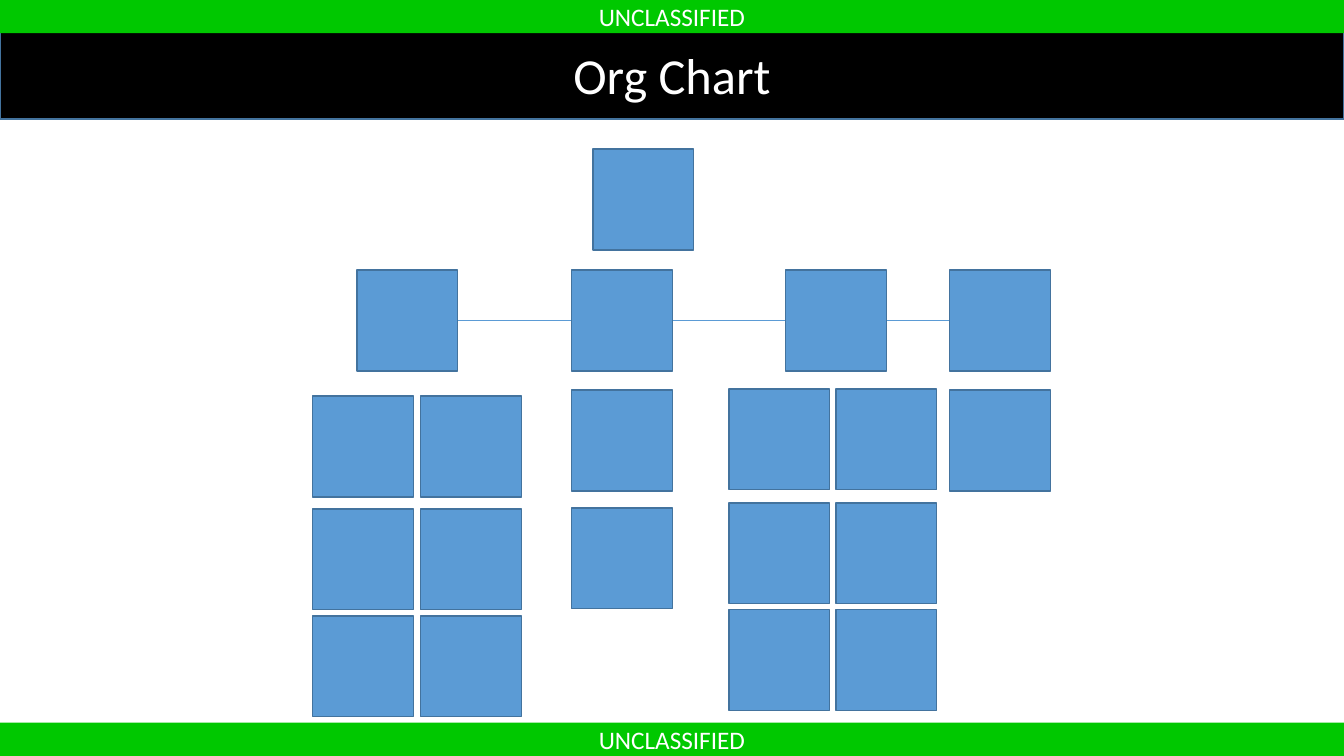
from lxml import etree
from pptx import Presentation
from pptx.dml.color import RGBColor
from pptx.enum.shapes import MSO_CONNECTOR, MSO_SHAPE
from pptx.enum.text import MSO_ANCHOR, PP_ALIGN
from pptx.oxml.ns import qn
from pptx.util import Inches, Pt

RECTANGLE = MSO_SHAPE.RECTANGLE
STRAIGHT = MSO_CONNECTOR.STRAIGHT
MIDDLE = MSO_ANCHOR.MIDDLE
CENTER = PP_ALIGN.CENTER
TITLE_ONLY = 5

WIDTH, HEIGHT = 13.33, 7.5
BANNER_HEIGHT = 0.33
BOX_SIZE = 1
MANAGER_TOP = 2.68
MANAGER_LEFTS = (3.54, 5.67, 7.79, 9.42)
# Column lefts and row tops of the boxes under each manager
TEAMS = (
    ((3.1, 4.17), (3.93, 5.05, 6.11)),
    ((5.67,), (3.87, 5.04)),
    ((7.23, 8.29), (3.86, 4.99, 6.05)),
    ((9.42,), (3.87,)),
)


def color(code):
    """Turn a hex string into a colour."""
    return RGBColor.from_string(code)


class OrgPage:
    """Holds the style and the current slide."""

    font = "Calibri"
    text_color = "FFFFFF"
    banner_fill = "00C800"
    title_fill = "000000"
    box_fill = "5B9BD5"
    outline = "43739E"

    def __init__(self, deck):
        """Add a title-only slide to the deck."""
        self.page = deck.slides.add_slide(deck.slide_layouts[TITLE_ONLY])

    def paint(self, shape, fill, outline=None):
        """Fill a shape and give it an outline, or none."""
        shape.fill.solid()
        shape.fill.fore_color.rgb = color(fill)
        if outline:
            shape.line.color.rgb = color(outline)
            shape.line.width = Pt(1)
        else:
            shape.line.fill.background()

    def label(self, shape, text, size):
        """Set centred text in a shape."""
        frame = shape.text_frame
        frame.text = text
        frame.word_wrap = True
        frame.vertical_anchor = MIDDLE
        frame.margin_top = frame.margin_bottom = 0
        para = frame.paragraphs[0]
        para.alignment = CENTER
        font = para.runs[0].font
        font.name, font.size = self.font, Pt(size)
        font.color.rgb = color(self.text_color)

    def title(self, text, top, height):
        """Place the title bar across the slide."""
        bar = self.page.shapes.title
        bar.left, bar.top = Inches(0), Inches(top)
        bar.width, bar.height = Inches(WIDTH), Inches(height)
        self.paint(bar, self.title_fill, self.outline)
        self.label(bar, text, 36)

    def rectangle(self, left, top, width, height):
        """Add a rectangle without shadow."""
        shape = self.page.shapes.add_shape(
            RECTANGLE, Inches(left), Inches(top), Inches(width), Inches(height))
        shape.shadow.inherit = False
        return shape

    def banner(self, text, top):
        """Add a full-width marking banner."""
        banner = self.rectangle(0, top, WIDTH, BANNER_HEIGHT)
        self.paint(banner, self.banner_fill)
        self.label(banner, text, 18)

    def box(self, left, top):
        """Add one square of the chart."""
        box = self.rectangle(left, top, BOX_SIZE, BOX_SIZE)
        self.paint(box, self.box_fill, self.outline)

    def level_line(self, start, end, y):
        """Add a horizontal line."""
        line = self.page.shapes.add_connector(
            STRAIGHT, Inches(start), Inches(y), Inches(end), Inches(y))
        line.line.color.rgb = color(self.box_fill)
        line.line.width = Pt(0.5)
        etree.SubElement(line._element.spPr, qn("a:effectLst"))


deck = Presentation()
deck.slide_width, deck.slide_height = Inches(WIDTH), Inches(HEIGHT)
chart = OrgPage(deck)
chart.title("Org Chart", 0.3, 0.88)

half = BOX_SIZE / 2
chart.level_line(4.1, MANAGER_LEFTS[-1] + half, MANAGER_TOP + half)
chart.box(5.88, 1.48)
for left in MANAGER_LEFTS:
    chart.box(left, MANAGER_TOP)
for lefts, tops in TEAMS:
    for top in tops:
        for left in lefts:
            chart.box(left, top)

for top in (HEIGHT - BANNER_HEIGHT, 0):
    chart.banner("UNCLASSIFIED", top)

deck.save("out.pptx")
